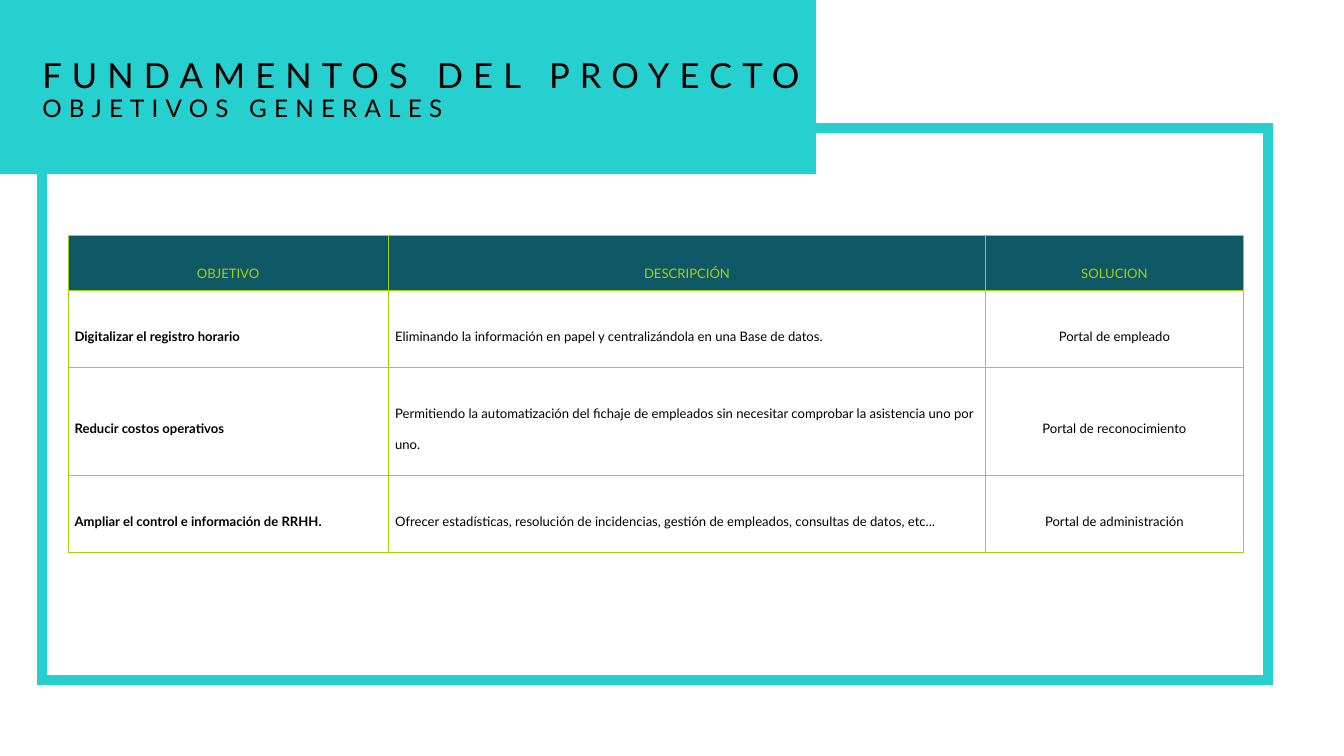
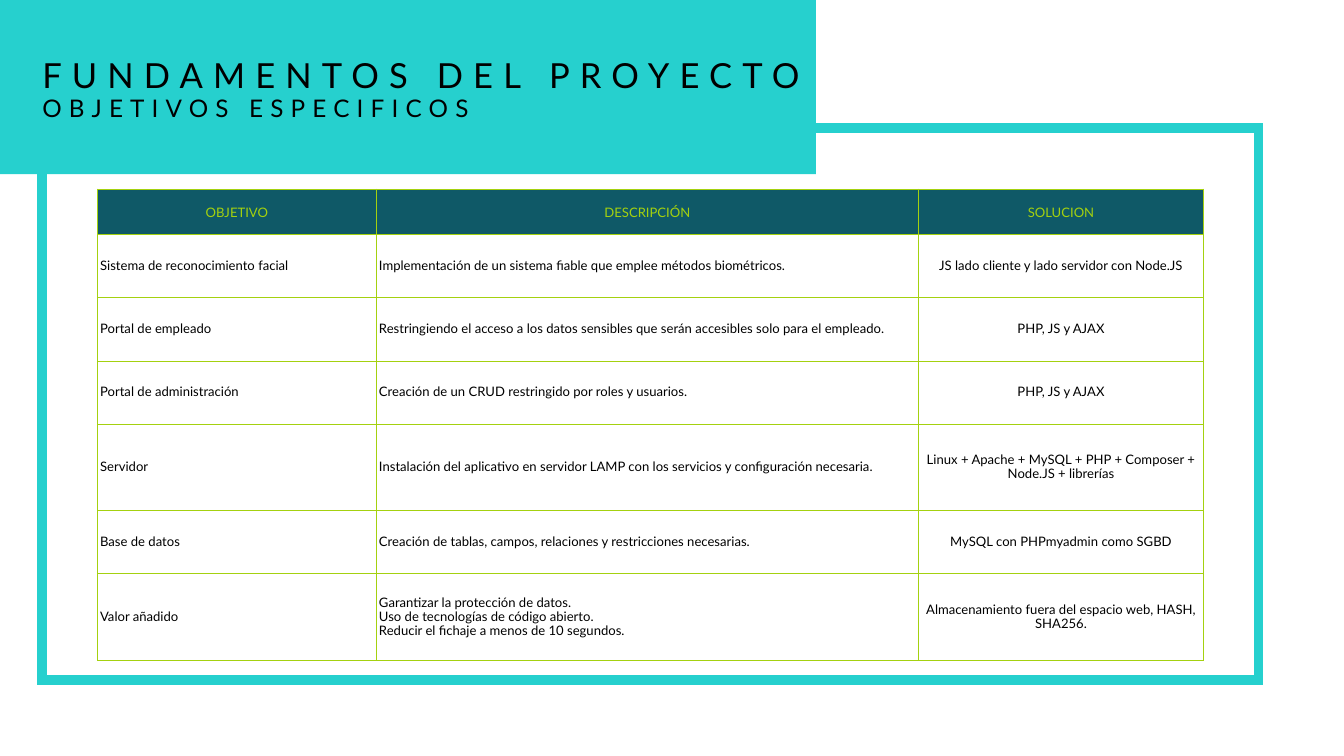
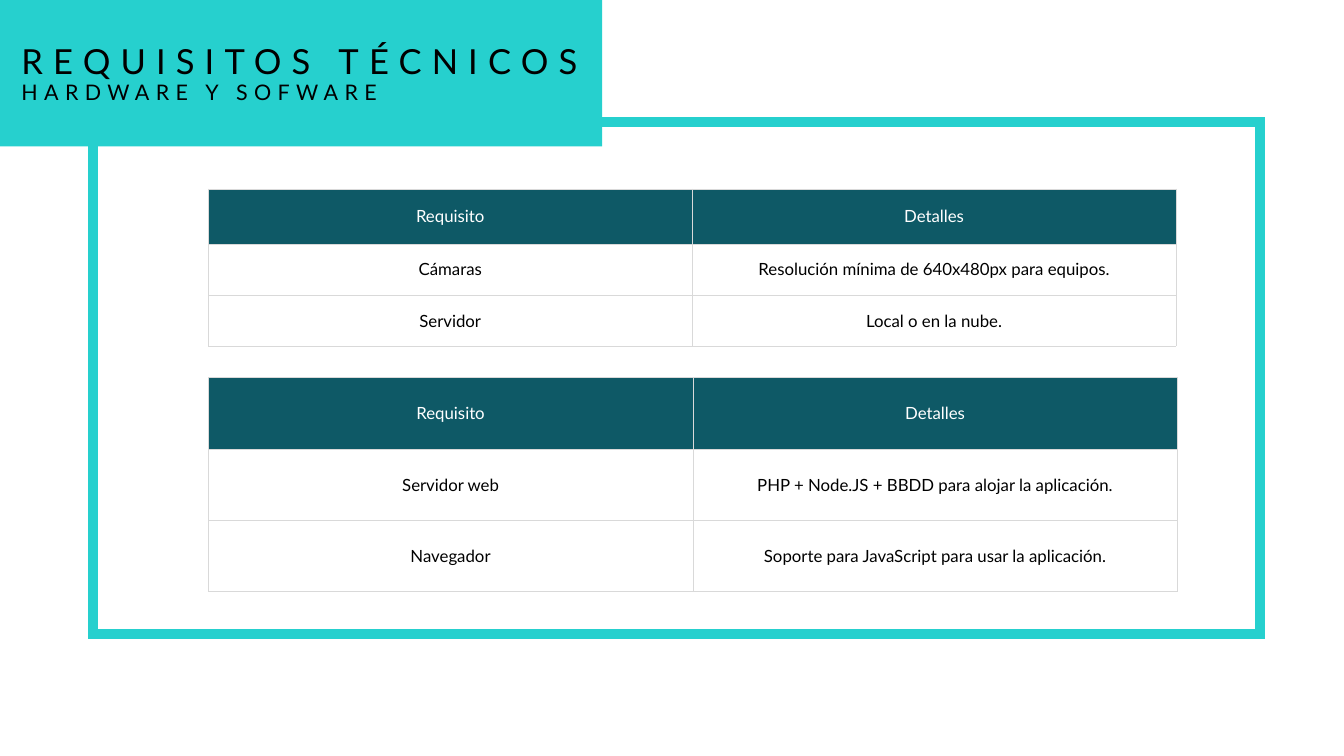
"""Build three slides of project objectives and technical requirements."""
import dataclasses

import lxml.etree
import pptx
import pptx.dml.color
import pptx.enum.shapes
import pptx.enum.text
import pptx.oxml.ns
import pptx.util

Inches = pptx.util.Inches
Pt = pptx.util.Pt
RGBColor = pptx.dml.color.RGBColor
qn = pptx.oxml.ns.qn
LEFT = pptx.enum.text.PP_ALIGN.LEFT
CENTER = pptx.enum.text.PP_ALIGN.CENTER

TURQUOISE = RGBColor(0x26, 0xD0, 0xCE)
PETROL = RGBColor(0x0F, 0x59, 0x67)
DARK_PETROL = RGBColor(0x0E, 0x59, 0x66)
LIME = RGBColor(0xA4, 0xD1, 0x0F)
GREY = RGBColor(0xD9, 0xD9, 0xD9)
WHITE = RGBColor(0xFF, 0xFF, 0xFF)
BLACK = RGBColor(0x00, 0x00, 0x00)
FONT = "Lato"


@dataclasses.dataclass
class TableStyle:
    """Look of one kind of table."""
    size: float
    header_fill: RGBColor
    header_color: RGBColor
    border: RGBColor
    alignments: tuple
    margins: tuple
    header_leading: float = None
    body_leading: float = None
    body_fill: RGBColor = None
    bold_first_column: bool = False


GENERAL = TableStyle(14, PETROL, LIME, LIME, (LEFT, LEFT, CENTER), (0.1, 0.1),
                     40.5, 33, bold_first_column=True)
SPECIFIC = TableStyle(14, PETROL, LIME, LIME, (LEFT, LEFT, CENTER), (0.04, 0.04),
                      18.3, 15.1)
REQUIREMENTS = TableStyle(18, DARK_PETROL, WHITE, GREY, (CENTER, CENTER), (0.1, 0.05),
                          body_fill=WHITE)

OBJECTIVE_HEADER = ("OBJETIVO", "DESCRIPCIÓN", "SOLUCION")
REQUIREMENT_HEADER = ("Requisito", "Detalles")

GENERAL_ROWS = [
    OBJECTIVE_HEADER,
    ("Digitalizar el registro horario",
     "Eliminando la información en papel y centralizándola en una Base de datos.",
     "Portal de empleado"),
    ("Reducir costos operativos",
     "Permitiendo la automatización del fichaje de empleados sin necesitar "
     "comprobar la asistencia uno por uno.",
     "Portal de reconocimiento"),
    ("Ampliar el control e información de RRHH.",
     "Ofrecer estadísticas, resolución de incidencias, gestión de empleados, "
     "consultas de datos, etc...",
     "Portal de administración"),
]
SPECIFIC_ROWS = [
    OBJECTIVE_HEADER,
    ("Sistema de reconocimiento facial",
     "Implementación de un sistema fiable que emplee métodos biométricos.",
     "JS lado cliente y lado servidor con Node.JS"),
    ("Portal de empleado",
     "Restringiendo el acceso a los datos sensibles que serán accesibles solo "
     "para el empleado.",
     "PHP, JS y AJAX"),
    ("Portal de administración",
     "Creación de un CRUD restringido por roles y usuarios.",
     "PHP, JS y AJAX"),
    ("Servidor",
     "Instalación del aplicativo en servidor LAMP con los servicios y "
     "configuración necesaria.",
     "Linux + Apache + MySQL + PHP + Composer + Node.JS + librerías"),
    ("Base de datos",
     "Creación de tablas, campos, relaciones y restricciones necesarias.",
     "MySQL con PHPmyadmin como SGBD"),
    ("Valor añadido",
     "Garantizar la protección de datos.\n"
     "Uso de tecnologías de código abierto.\n"
     "Reducir el fichaje a menos de 10 segundos.",
     "Almacenamiento fuera del espacio web, HASH, SHA256."),
]
HARDWARE_ROWS = [
    REQUIREMENT_HEADER,
    ("Cámaras", "Resolución mínima de 640x480px para equipos."),
    ("Servidor", "Local o en la nube."),
]
SOFTWARE_ROWS = [
    REQUIREMENT_HEADER,
    ("Servidor web", "PHP + Node.JS + BBDD para alojar la aplicación."),
    ("Navegador", "Soporte para JavaScript para usar la aplicación."),
]


def add_rectangle(slide, box):
    """Add a rectangle without a shadow."""
    kind = pptx.enum.shapes.MSO_SHAPE.RECTANGLE
    shape = slide.shapes.add_shape(kind, *map(Inches, box))
    shape.shadow.inherit = False
    return shape


def add_frame(slide, box):
    """Outline the content area with sharp corners."""
    frame = add_rectangle(slide, box)
    frame.fill.background()
    frame.line.color.rgb = TURQUOISE
    frame.line.width = Pt(10.5)
    outline = frame._element.spPr.find(qn("a:ln"))
    lxml.etree.SubElement(outline, qn("a:miter"), lim="800000")


def add_heading(slide, band_size, text_box, lines):
    """Add the corner band and its widely spaced lines of (text, size, leading, spacing)."""
    band = add_rectangle(slide, (0, 0, *band_size))
    band.fill.solid()
    band.fill.fore_color.rgb = TURQUOISE
    band.line.fill.background()
    frame = slide.shapes.add_textbox(*map(Inches, text_box)).text_frame
    frame.word_wrap = True
    frame.margin_left = frame.margin_right = frame.margin_top = frame.margin_bottom = 0
    frame.text = "\n".join(line[0] for line in lines)
    for paragraph, (_, size, leading, spacing) in zip(frame.paragraphs, lines):
        style_paragraph(paragraph, size, BLACK, LEFT, leading)
        properties = paragraph.runs[0]._r.get_or_add_rPr()
        properties.set("spc", str(round(spacing * 100)))


def style_paragraph(paragraph, size, color, alignment, leading=None, bold=False):
    """Set the font, alignment and line height of a paragraph."""
    paragraph.alignment = alignment
    if leading:
        paragraph.line_spacing = Pt(leading)
    paragraph.font.name = FONT
    paragraph.font.size = Pt(size)
    paragraph.font.bold = bold
    paragraph.font.color.rgb = color


def add_borders(cell, color):
    """Draw a thin line on the four sides of a cell."""
    properties = cell._tc.get_or_add_tcPr()
    for side in ("a:lnL", "a:lnR", "a:lnT", "a:lnB"):
        line = lxml.etree.SubElement(properties, qn(side), w=str(Pt(0.75)))
        fill = lxml.etree.SubElement(line, qn("a:solidFill"))
        lxml.etree.SubElement(fill, qn("a:srgbClr"), val=str(color))


def fill_cell(cell, text, style, column, is_header):
    """Write and format one table cell."""
    horizontal, vertical = map(Inches, style.margins)
    cell.margin_left = cell.margin_right = horizontal
    cell.margin_top = cell.margin_bottom = vertical
    cell.vertical_anchor = pptx.enum.text.MSO_ANCHOR.MIDDLE
    add_borders(cell, style.border)
    background = style.header_fill if is_header else style.body_fill
    if background is None:
        cell.fill.background()
    else:
        cell.fill.solid()
        cell.fill.fore_color.rgb = background
    cell.text = text
    for paragraph in cell.text_frame.paragraphs:
        if is_header:
            style_paragraph(paragraph, style.size, style.header_color, CENTER,
                            style.header_leading)
        else:
            style_paragraph(paragraph, style.size, BLACK, style.alignments[column],
                            style.body_leading, style.bold_first_column and column == 0)


def add_table(slide, left, top, widths, heights, rows, style):
    """Add a table whose first row is the header."""
    table = slide.shapes.add_table(
        len(rows), len(widths), Inches(left), Inches(top),
        Inches(sum(widths)), Inches(sum(heights))).table
    table.first_row = table.horz_banding = False
    for column, width in zip(table.columns, widths):
        column.width = Inches(width)
    for row, height in zip(table.rows, heights):
        row.height = Inches(height)
    for row_index, texts in enumerate(rows):
        for column_index, text in enumerate(texts):
            fill_cell(table.cell(row_index, column_index), text, style,
                      column_index, row_index == 0)


def add_blank_slide(presentation):
    """Append an empty slide."""
    return presentation.slides.add_slide(presentation.slide_layouts[6])


def add_objectives_slide(presentation, subtitle, frame_width, **table):
    """Add a slide with one table of objectives."""
    slide = add_blank_slide(presentation)
    add_frame(slide, (0.63, 1.91, frame_width, 8.21))
    add_heading(slide, (12.14, 2.59), (0.63, 0.84, 11.5, 0.98),
                [("FUNDAMENTOS DEL PROYECTO", 37, 41.4, 10.9),
                 (subtitle, 26, 29.1, 7.7)])
    add_table(slide, **table)


def add_requirements_slide(presentation):
    """Add the slide with the hardware and software tables."""
    slide = add_blank_slide(presentation)
    add_frame(slide, (1.39, 1.82, 17.36, 7.61))
    add_heading(slide, (8.96, 2.18), (0.32, 0.63, 8.43, 0.94),
                [("REQUISITOS TÉCNICOS", 37, 41.4, 10.9),
                 ("HARDWARE Y SOFWARE", 23, 25.8, 6.8)])
    add_table(slide, 3.1, 2.81, [7.2] * 2, [0.82, 0.76, 0.76], HARDWARE_ROWS, REQUIREMENTS)
    add_table(slide, 3.1, 5.62, [7.21] * 2, [1.06] * 3, SOFTWARE_ROWS, REQUIREMENTS)


def main():
    """Build and save the presentation."""
    presentation = pptx.Presentation()
    presentation.slide_width = Inches(20)
    presentation.slide_height = Inches(11.25)
    add_objectives_slide(
        presentation, "OBJETIVOS GENERALES", 18.24, left=1.01, top=3.5,
        widths=[4.77, 8.89, 3.83], heights=[0.82, 1.15, 1.6, 1.15],
        rows=GENERAL_ROWS, style=GENERAL)
    add_objectives_slide(
        presentation, "OBJETIVOS ESPECIFICOS", 18.1, left=1.45, top=2.81,
        widths=[4.15, 8.07, 4.24], heights=[0.68, 0.94, 0.94, 0.94, 1.29, 0.94, 1.29],
        rows=SPECIFIC_ROWS, style=SPECIFIC)
    add_requirements_slide(presentation)
    presentation.save("out.pptx")


if __name__ == "__main__":
    main()
